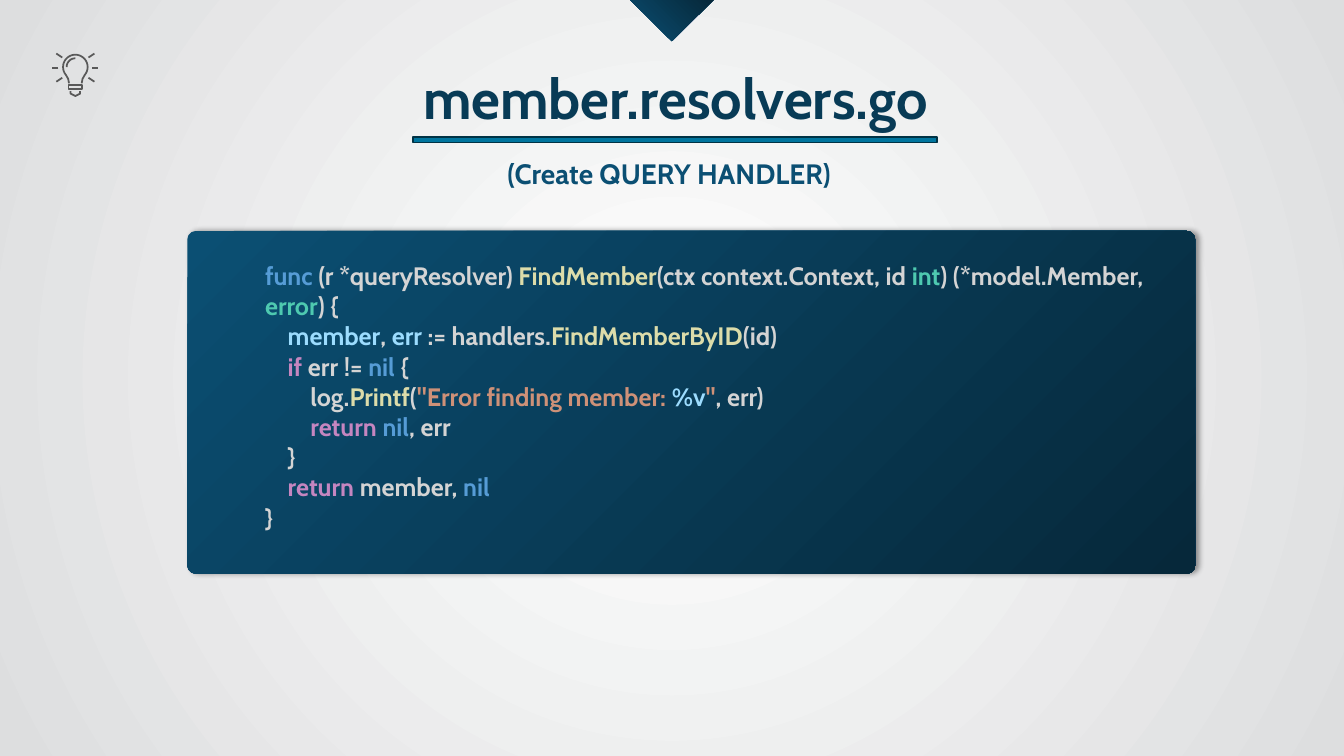
import math
from dataclasses import dataclass

from lxml import etree
from pptx import Presentation
from pptx import util as u
from pptx.dml.color import RGBColor
from pptx.enum import shapes, text
from pptx.oxml import ns

FONT = "Cabin"
NAVY_BLEND = ("0B4F73", "06283A")
PLAIN, KEYWORD, CONTROL = "D4D4D4", "569CD6", "C586C0"
FUNCTION, TYPE, VARIABLE, STRING = "DCDCAA", "4EC9B0", "9CDCFE", "CE9178"

Point = tuple[float, float]


@dataclass
class Box:
    left: float
    top: float
    width: float
    height: float

    def emu(self) -> tuple:
        return tuple(u.Cm(n) for n in (self.left, self.top, self.width, self.height))


@dataclass
class Heading:
    text: str
    box: Box
    size: int
    color: str


@dataclass
class Token:
    text: str
    color: str = PLAIN


HEADINGS = [
    Heading("member.resolvers.go", Box(9.19, 1.47, 15.67, 1.96), 40, "083B56"),
    Heading("(Create QUERY HANDLER)", Box(10.92, 3.81, 11.89, 1.12), 20, "0B4F73"),
]
CODE = [
    [Token("func", KEYWORD), Token(" (r *queryResolver) "),
     Token("FindMember", FUNCTION), Token("(ctx context.Context, id "),
     Token("int", TYPE), Token(") (*model.Member, "),
     Token("error", TYPE), Token(") {")],
    [Token("    "), Token("member", VARIABLE), Token(", "), Token("err", VARIABLE),
     Token(" := handlers."), Token("FindMemberByID", FUNCTION), Token("(id)")],
    [Token("    "), Token("if", CONTROL), Token(" err != "),
     Token("nil", KEYWORD), Token(" {")],
    [Token("        log."), Token("Printf", FUNCTION), Token("("),
     Token('"Error finding member: ', STRING), Token("%v", VARIABLE),
     Token('"', STRING), Token(", err)")],
    [Token("        "), Token("return ", CONTROL), Token("nil", KEYWORD),
     Token(", err")],
    [Token("    }")],
    [Token("    "), Token("return", CONTROL), Token(" member, "),
     Token("nil", KEYWORD)],
    [Token("}")],
]


def rgb(color: str) -> RGBColor:
    return RGBColor.from_string(color)


def blend(fill, colors: tuple[str, str]) -> None:
    fill.gradient()
    for stop, color in zip(fill.gradient_stops, colors):
        stop.color.rgb = rgb(color)


def add_xml(parent, tag: str, **attributes: str):
    return etree.SubElement(parent, ns.qn(tag), attributes)


def style_run(r, size: int, color: str) -> None:
    r.font.name = FONT
    r.font.size = u.Pt(size)
    r.font.bold = True
    r.font.color.rgb = rgb(color)


def add_text_box(s, box: Box):
    tf = s.shapes.add_textbox(*box.emu()).text_frame
    tf.word_wrap = True
    return tf


def add_heading(s, heading: Heading) -> None:
    tf = add_text_box(s, heading.box)
    tf.text = heading.text
    p = tf.paragraphs[0]
    p.alignment = text.PP_ALIGN.CENTER
    style_run(p.runs[0], heading.size, heading.color)


def add_code(s, box: Box) -> None:
    tf = add_text_box(s, box)
    for i, line in enumerate(CODE):
        p = tf.add_paragraph() if i else tf.paragraphs[0]
        for token in line:
            r = p.add_run()
            r.text = token.text
            style_run(r, 18, token.color)


def add_strokes(s, strokes: list[list[Point]], close: bool = False):
    scaled = [[(u.Cm(x), u.Cm(y)) for x, y in stroke] for stroke in strokes]
    builder = s.shapes.build_freeform(*scaled[0][0])
    for i, (start, *rest) in enumerate(scaled):
        if i:
            builder.move_to(*start)
        builder.add_line_segments(rest, close=close)
    sp = builder.convert_to_shape()
    sp.shadow.inherit = False
    return sp


def arc(radius: float, start: int, end: int) -> list[Point]:
    angles = [math.radians(a) for a in range(start, end + 1, 10)]
    return [(radius * math.cos(a), radius * math.sin(a)) for a in angles]


def add_bulb(s, x: float, y: float) -> None:
    rays = [
        [(side * x1, y1), (side * x2, y2)]
        for side in (-1, 1)
        for x1, y1, x2, y2 in (
            (0.33, -0.24, 0.48, -0.34),
            (0.43, 0.02, 0.58, 0.02),
            (0.33, 0.27, 0.48, 0.37),
        )
    ]
    glass = [(-0.16, 0.41), (-0.18, 0.3), *arc(0.31, 140, 400), (0.18, 0.3), (0.16, 0.41)]
    base = [(-0.17, 0.46), (0.17, 0.46), (0.17, 0.55), (-0.17, 0.55), (-0.17, 0.46)]
    cap = [(-0.12, 0.61), (-0.12, 0.67), (0, 0.73), (0.12, 0.67), (0.12, 0.61)]
    strokes = rays + [glass, arc(0.22, 180, 270), base, cap]
    sp = add_strokes(s, [[(x + dx, y + dy) for dx, dy in st] for st in strokes])
    sp.fill.background()
    sp.line.color.rgb = rgb("595959")
    sp.line.width = u.Pt(1.25)


def add_background(s) -> None:
    blend(s.background.fill, ("FFFFFF", "DDDEDF"))
    linear = next(s.element.iter(ns.qn("a:lin")))
    gradient = linear.getparent()
    gradient.remove(linear)
    circle = add_xml(gradient, "a:path", path="circle")
    add_xml(circle, "a:fillToRect", l="50000", t="50000", r="50000", b="50000")


def add_marker(s) -> None:
    sp = add_strokes(s, [[(15.88, 0), (16.93, 1.04), (17.98, 0)]], close=True)
    blend(sp.fill, NAVY_BLEND)
    sp.fill.gradient_angle = 45
    sp.line.fill.background()


def add_rule(s, box: Box) -> None:
    sp = s.shapes.add_shape(shapes.MSO_SHAPE.RECTANGLE, *box.emu())
    sp.shadow.inherit = False
    sp.fill.solid()
    sp.fill.fore_color.rgb = rgb("00759E")
    sp.line.color.rgb = rgb("003345")
    sp.line.width = u.Pt(1)


def add_card(s, box: Box) -> None:
    sp = s.shapes.add_shape(shapes.MSO_SHAPE.ROUNDED_RECTANGLE, *box.emu())
    sp.adjustments[0] = 0.025
    blend(sp.fill, NAVY_BLEND)
    sp.fill.gradient_angle = 315
    sp.line.fill.background()
    sp.shadow.inherit = False
    effects = sp.element.spPr.find(ns.qn("a:effectLst"))
    shadow = add_xml(effects, "a:outerShdw", blurRad=str(u.Pt(4)),
                     dist=str(u.Pt(3)), dir="0", algn="l", rotWithShape="0")
    add_xml(add_xml(shadow, "a:srgbClr", val="000000"), "a:alpha", val="40000")


def main() -> None:
    prs = Presentation()
    prs.slide_width, prs.slide_height = u.Cm(33.87), u.Cm(19.05)
    s = prs.slides.add_slide(prs.slide_layouts[6])
    add_background(s)
    add_marker(s)
    add_bulb(s, 1.9, 1.69)
    for heading in HEADINGS:
        add_heading(s, heading)
    add_rule(s, Box(10.41, 3.45, 13.21, 0.15))
    add_card(s, Box(4.72, 5.82, 25.4, 8.64))
    add_code(s, Box(6.43, 6.43, 23.14, 8.71))
    prs.save("out.pptx")


if __name__ == "__main__":
    main()
